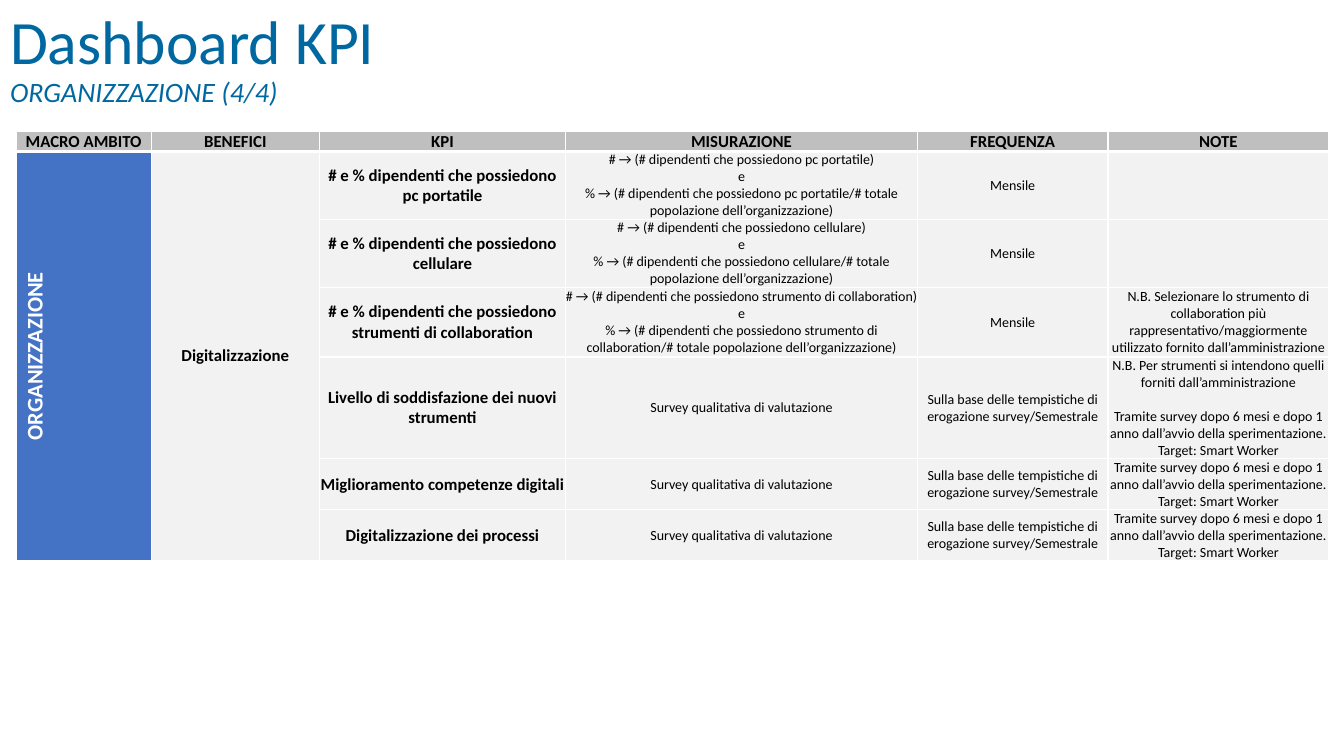
from lxml import etree
from pptx import Presentation
from pptx.dml.color import RGBColor
from pptx.enum import text
from pptx.oxml import ns
from pptx.util import Inches, Pt

TITLE_BLUE = RGBColor(0x00, 0x68, 0xA0)
SCOPE_BLUE = RGBColor(0x44, 0x72, 0xC4)
HEADER_GREY = RGBColor(0xBF, 0xBF, 0xBF)
BODY_GREY = RGBColor(0xF2, 0xF2, 0xF2)
WHITE = RGBColor(0xFF, 0xFF, 0xFF)
BLACK = RGBColor(0x00, 0x00, 0x00)
FONT = "Calibri"


def add_run(paragraph, words, size, color, bold=False, italic=False):
    run = paragraph.add_run()
    run.text = words
    run.font.name = FONT
    run.font.size = Pt(size)
    run.font.color.rgb = color
    run.font.bold = bold
    run.font.italic = italic


def add_border(cell, side, width):
    line = etree.SubElement(cell._tc.get_or_add_tcPr(), ns.qn(f"a:ln{side}"), w=str(Pt(width)))
    fill = etree.SubElement(line, ns.qn("a:solidFill"))
    etree.SubElement(fill, ns.qn("a:srgbClr"), val=str(WHITE))


presentation = Presentation()
presentation.slide_width = Inches(13.33)
presentation.slide_height = Inches(7.5)
slide = presentation.slides.add_slide(presentation.slide_layouts[5])

# Title and subtitle
title = slide.shapes.title
title.left, title.top = Inches(0), Inches(-0.13)
title.width, title.height = Inches(11.5), Inches(1.45)
title.text_frame.auto_size = text.MSO_AUTO_SIZE.NONE
title.text_frame.vertical_anchor = text.MSO_ANCHOR.MIDDLE
paragraph = title.text_frame.paragraphs[0]
paragraph.alignment = text.PP_ALIGN.LEFT
paragraph.line_spacing = 0.9
add_run(paragraph, "Dashboard KPI", 44, TITLE_BLUE)
paragraph.add_line_break()
add_run(paragraph, "ORGANIZZAZIONE (4/4)", 20, TITLE_BLUE, italic=True)

# Table content: each cell is a list of paragraphs
survey = ["Survey qualitativa di valutazione"]
survey_timing = ["Sulla base delle tempistiche di erogazione survey/Semestrale"]
survey_note = [
    "Tramite survey dopo 6 mesi e dopo 1 anno dall’avvio della sperimentazione.",
    "Target: Smart Worker",
]
tool_note = [
    "N.B. Selezionare lo strumento di collaboration più rappresentativo/maggiormente "
    "utilizzato fornito dall’amministrazione"
]
supplied_note = ["N.B. Per strumenti si intendono quelli forniti dall’amministrazione"]

rows = [[[name] for name in
         ("MACRO AMBITO", "BENEFICI", "KPI", "MISURAZIONE", "FREQUENZA", "NOTE")]]
for owned, measured, note in (
    ("pc portatile", "pc portatile", []),
    ("cellulare", "cellulare", []),
    ("strumenti di collaboration", "strumento di collaboration", tool_note),
):
    counted = f"# dipendenti che possiedono {measured}"
    measure = [f"# → ({counted})", "e",
               f"% → ({counted}/# totale popolazione dell’organizzazione)"]
    rows.append([[], [], [f"# e % dipendenti che possiedono {owned}"], measure, ["Mensile"], note])
for kpi, note in (
    ("Livello di soddisfazione dei nuovi strumenti", supplied_note + survey_note),
    ("Miglioramento competenze digitali", survey_note),
    ("Digitalizzazione dei processi", survey_note),
):
    rows.append([[], [], [kpi], survey, survey_timing, note])
rows[1][0] = ["ORGANIZZAZIONE"]
rows[1][1] = ["Digitalizzazione"]

# Table frame
column_widths = [1.34, 1.67, 2.44, 3.49, 1.89, 2.19]
row_heights = [0.17, 0.55, 0.55, 0.69, 0.82, 0.41, 0.41]
table = slide.shapes.add_table(
    len(rows), len(column_widths), Inches(0.16), Inches(1.3),
    Inches(sum(column_widths)), Inches(sum(row_heights))).table
table.horz_banding = False
table.first_row = False
for column, width in zip(table.columns, column_widths):
    column.width = Inches(width)
for row, height in zip(table.rows, row_heights):
    row.height = Inches(height)
for column_index in (0, 1):
    table.cell(1, column_index).merge(table.cell(len(rows) - 1, column_index))

# Cells
for row_index, row in enumerate(rows):
    for column_index, lines in enumerate(row):
        cell = table.cell(row_index, column_index)
        is_header = row_index == 0
        is_scope = column_index == 0 and not is_header
        for side in "LRTB":
            thick = (row_index, side) in ((0, "B"), (1, "T"))
            add_border(cell, side, 3 if thick else 1)
        cell.fill.solid()
        cell.fill.fore_color.rgb = (
            HEADER_GREY if is_header else SCOPE_BLUE if is_scope else BODY_GREY)
        cell.vertical_anchor = text.MSO_ANCHOR.MIDDLE
        if is_scope:
            cell._tc.get_or_add_tcPr().set("vert", "vert270")
        else:
            cell.margin_left = cell.margin_right = cell.margin_top = cell.margin_bottom = 0

        bold = is_header or column_index < 3
        size = 16 if is_scope else 12 if bold else 10
        frame = cell.text_frame
        for line_index, line in enumerate(lines):
            paragraph = frame.add_paragraph() if line_index else frame.paragraphs[0]
            paragraph.alignment = text.PP_ALIGN.CENTER
            if line_index and line == survey_note[0]:
                paragraph.space_before = Pt(12)
            add_run(paragraph, line, size, WHITE if is_scope else BLACK, bold)

presentation.save("out.pptx")
